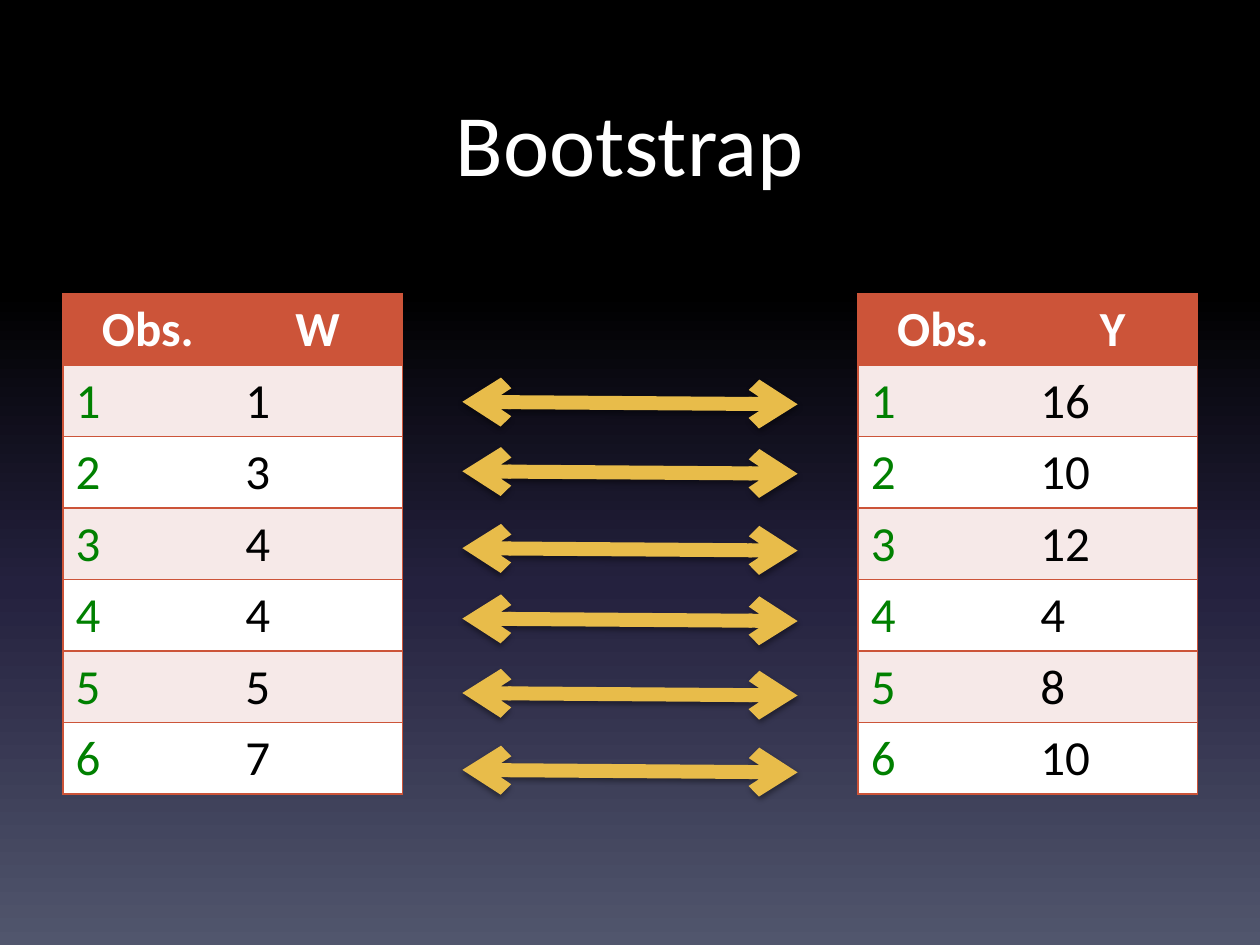
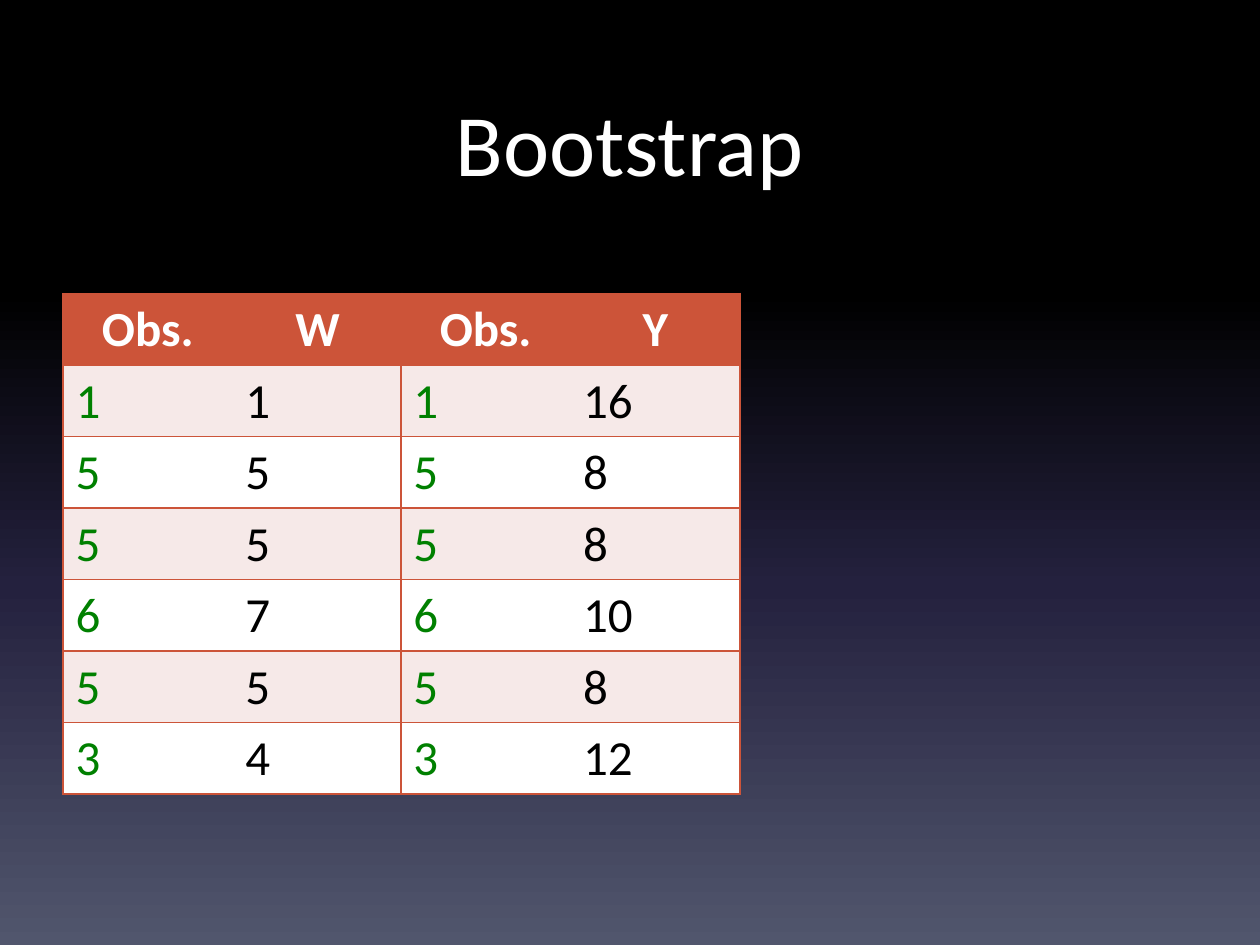
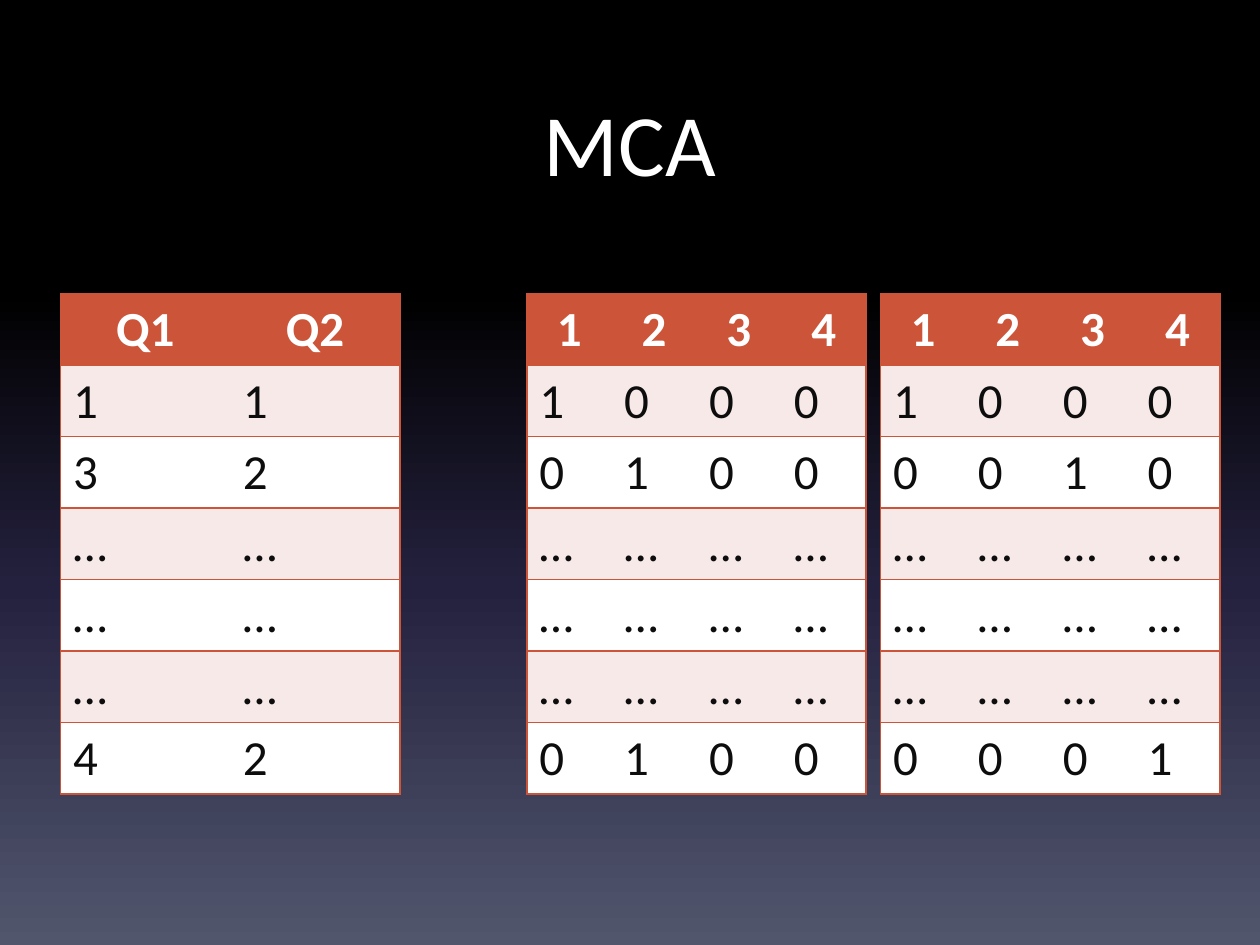
"""Builds three slides on bootstrap resampling and MCA coding tables."""
from pptx import Presentation
from pptx.dml.color import RGBColor
from pptx.enum.shapes import MSO_CONNECTOR
from pptx.enum.text import MSO_ANCHOR, PP_ALIGN
from pptx.oxml import parse_xml
from pptx.oxml.ns import nsdecls
from pptx.util import Cm, Pt

HUES = {
    "white": "FFFFFF", "black": "000000", "ink": "0D0D0D", "green": "008000",
    "rust": "CC5439", "blush": "F6E9E8", "gold": "E8BC4A",
    "navy": "24213E", "slate": "51566D",
}
FONT = "Calibri"
NO_STYLE = "{2D5ABB26-0587-4C30-8999-92F81FD0307C}"
WIDTH, TOP, HEIGHT = 6.84, 5.92, 10.08


def style(para, size, hue, bold=False, align=PP_ALIGN.LEFT):
    para.alignment = align
    para.font.name = FONT
    para.font.size = Pt(size)
    para.font.bold = bold
    para.font.color.rgb = RGBColor.from_string(HUES[hue])


def add_grid(slide, left, rows, hues):
    count = len(rows[0])
    frame = slide.shapes.add_table(
        len(rows), count, Cm(left), Cm(TOP), Cm(WIDTH), Cm(HEIGHT))
    frame.element.xpath(".//a:tableStyleId")[0].text = NO_STYLE
    for r, row in enumerate(rows):
        for c, text in enumerate(row):
            cell = frame.table.cell(r, c)
            cell.text = text
            para = cell.text_frame.paragraphs[0]
            if r == 0:
                back = "rust"
                style(para, 28, "white", True, PP_ALIGN.CENTER)
            else:
                back = "blush" if r % 2 else "white"
                style(para, 28, hues[c])
            sides = "L" * (c == 0) + "R" * (c == count - 1) + "TB"
            props = cell.fill and cell._tc.get_or_add_tcPr()
            for side in sides:
                props.append(parse_xml(
                    f'<a:ln{side} {nsdecls("a")} w="12700"><a:solidFill>'
                    f'<a:srgbClr val="{HUES["rust"]}"/></a:solidFill></a:ln{side}>'))
            cell.fill.solid()
            cell.fill.fore_color.rgb = RGBColor.from_string(HUES[back])


prs = Presentation()
prs.slide_width, prs.slide_height = Cm(25.4), Cm(19.05)

master = prs.slide_master
fill = master.background.fill
fill.gradient()
fill.gradient_angle = 270
stops = master.element.xpath(".//p:bg//a:gsLst")[0]
for stop in list(stops):
    stops.remove(stop)
for place, hue in ((0, "black"), (31, "black"), (62, "navy"), (100, "slate")):
    stops.append(parse_xml(
        f'<a:gs {nsdecls("a")} pos="{place * 1000}">'
        f'<a:srgbClr val="{HUES[hue]}"/></a:gs>'))

W = dict(zip("123456", "1 3 4 4 5 7".split()))
Y = dict(zip("123456", "16 10 12 4 8 10".split()))
drawn = "155653"
pair = ("green", "black")
plain = ("ink",) * 4
dots = ["…" * 4] * 3

decks = [
    ("Bootstrap", [
        (1.27, [("Obs.", "W"), *W.items()], pair),
        (17.3, [("Obs.", "Y"), *Y.items()], pair),
    ]),
    ("Bootstrap", [
        (1.27, [("Obs.", "W"), *((n, W[n]) for n in drawn)], pair),
        (8.08, [("Obs.", "Y"), *((n, Y[n]) for n in drawn)], pair),
    ]),
    ("MCA", [
        (10.62, ["1234", "1000", "0100", *dots, "0100"], plain),
        (17.75, ["1234", "1000", "0010", *dots, "0001"], plain),
        (1.22, [("Q1", "Q2"), "11", "32", *["……"] * 3, "42"], plain),
    ]),
]

for title, grids in decks:
    slide = prs.slides.add_slide(prs.slide_layouts[6])
    box = slide.shapes.add_textbox(Cm(1.27), Cm(1.27), Cm(22.86), Cm(3.18))
    frame = box.text_frame
    frame.word_wrap = True
    frame.vertical_anchor = MSO_ANCHOR.MIDDLE
    frame.text = title
    style(frame.paragraphs[0], 50, "white", align=PP_ALIGN.CENTER)
    for left, rows, hues in grids:
        add_grid(slide, left, rows, hues)

for y in (8.1, 9.5, 11.05, 12.47, 13.97, 15.52):
    arrow = prs.slides[0].shapes.add_connector(
        MSO_CONNECTOR.STRAIGHT, Cm(9.32), Cm(y), Cm(16.08), Cm(y + 0.05))
    arrow.line.color.rgb = RGBColor.from_string(HUES["gold"])
    arrow.line.width = Pt(8)
    line = arrow.line._get_or_add_ln()
    for end in ("head", "tail"):
        line.append(parse_xml(f'<a:{end}End {nsdecls("a")} type="arrow"/>'))
    arrow.element.spPr.append(parse_xml(
        f'<a:effectLst {nsdecls("a")}><a:outerShdw blurRad="40000" dist="20000" '
        f'dir="5400000" rotWithShape="0"><a:srgbClr val="{HUES["black"]}">'
        '<a:alpha val="38000"/></a:srgbClr></a:outerShdw></a:effectLst>'))

prs.save("out.pptx")
